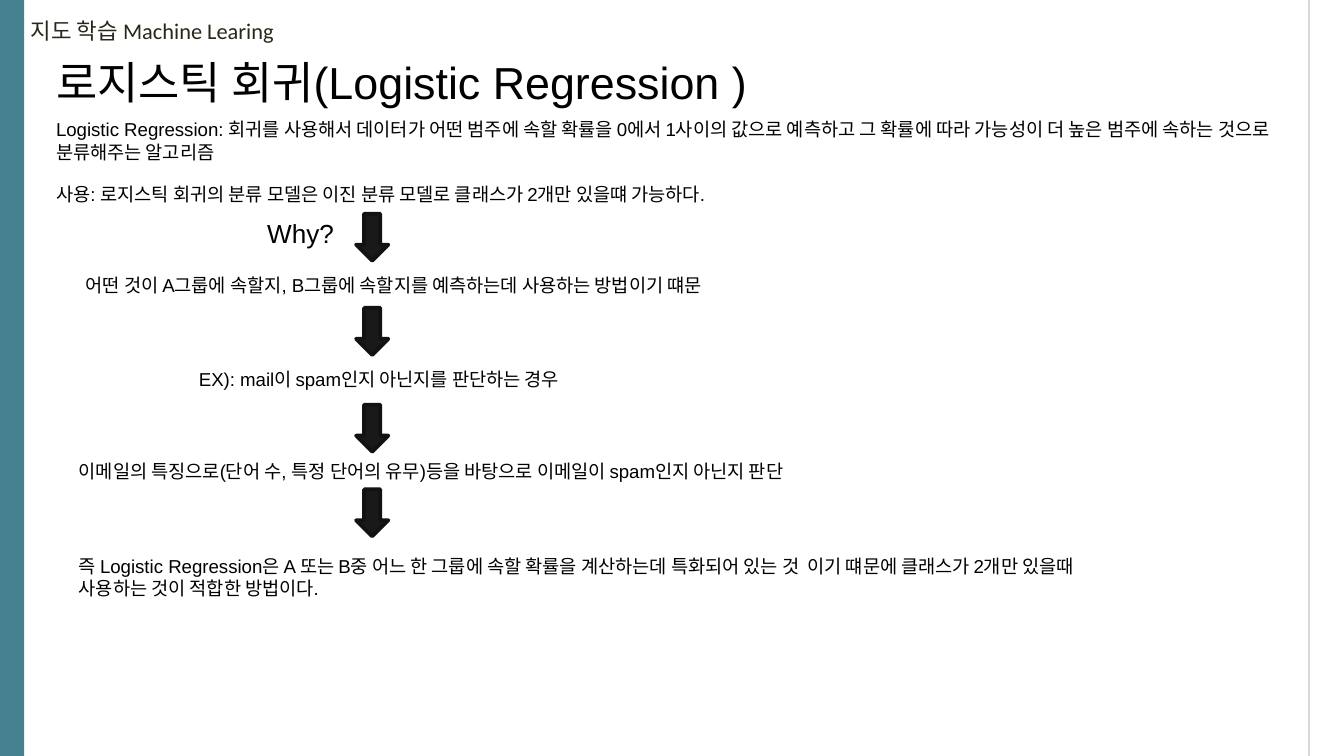
from pptx import Presentation
from pptx.dml.color import RGBColor
from pptx.enum.shapes import MSO_CONNECTOR as Connector, MSO_SHAPE as Shape
from pptx.enum.text import MSO_ANCHOR as Anchor, MSO_AUTO_SIZE as AutoSize, PP_ALIGN as Align
from pptx.oxml.ns import qn
from pptx.util import Cm, Pt
from lxml.etree import SubElement

TEAL = RGBColor(0x45, 0x81, 0x8E)
GREY = RGBColor(0xD9, 0xD9, 0xD9)
OLIVE = RGBColor(0x29, 0x26, 0x1B)
BLACK = RGBColor(0, 0, 0)
CHARCOAL = RGBColor(0x19, 0x19, 0x19)
OUTLINE = RGBColor(0x12, 0x12, 0x12)

WIDTH, HEIGHT = 25.4, 14.29
MARGIN = 0.81
ARROW_LEFT = 6.73
ARROW_TOPS = (4.04, 5.82, 7.65, 9.25)
STATEMENTS = (
    (MARGIN, 2.11, 23.44, 1.12, "Logistic Regression: 회귀를 사용해서 데이터가 어떤 범주에 속할 확률을 0에서 1사이의 값으로 예측하고 그 확률에 따라 가능성이 더 높은 범주에 속하는 것으로 분류해주는 알고리즘"),
    (MARGIN, 3.33, 20.22, 0.69, "사용: 로지스틱 회귀의 분류 모델은 이진 분류 모델로 클래스가 2개만 있을떄 가능하다."),
    (1.37, 5.05, 16.03, 0.69, "어떤 것이 A그룹에 속할지, B그룹에 속할지를 예측하는데 사용하는 방법이기 떄문"),
    (3.51, 6.83, 11.73, 0.69, "EX): mail이 spam인지 아닌지를 판단하는 경우"),
    (1.24, 8.56, 22.56, 0.69, "이메일의 특징으로(단어 수, 특정 단어의 유무)등을 바탕으로 이메일이 spam인지 아닌지 판단"),
    (1.24, 10.36, 20.12, 1.12, "즉 Logistic Regression은 A 또는 B중 어느 한 그룹에 속할 확률을 계산하는데 특화되어 있는 것  이기 떄문에 클래스가 2개만 있을때 사용하는 것이 적합한 방법이다."),
)


class SlideBuilder:
    font = "Arial"
    color = BLACK

    def __init__(self, page):
        self.page = page

    def fill_text(self, box, text, size, font=None, color=None):
        frame = box.text_frame
        frame.word_wrap = True
        frame.auto_size = AutoSize.NONE
        frame.vertical_anchor = Anchor.TOP
        frame.text = text
        para = frame.paragraphs[0]
        para.alignment = Align.LEFT
        para.font.size = Pt(size)
        para.font.name = font or self.font
        para.font.color.rgb = color or self.color
        return frame

    def title(self, left, top, width, height, text, size):
        box = self.page.shapes.title
        box.left, box.top, box.width, box.height = map(Cm, (left, top, width, height))
        self.fill_text(box, text, size)

    def text(self, left, top, width, height, text, size=10, **style):
        box = self.page.shapes.add_textbox(*map(Cm, (left, top, width, height)))
        return self.fill_text(box, text, size, **style)

    def shape(self, kind, left, top, width, height, fill):
        shape = self.page.shapes.add_shape(kind, *map(Cm, (left, top, width, height)))
        shape.shadow.inherit = False
        shape.fill.solid()
        shape.fill.fore_color.rgb = fill
        shape.line.fill.background()
        return shape

    def arrow(self, left, top):
        arrow = self.shape(Shape.DOWN_ARROW, left, top, 0.61, 0.89, CHARCOAL)
        arrow.line.color.rgb = OUTLINE
        arrow.line.width = Pt(2)

    def rule(self, left, top, bottom):
        rule = self.page.shapes.add_connector(
            Connector.STRAIGHT, Cm(left), Cm(top), Cm(left), Cm(bottom))
        rule.line.color.rgb = GREY
        rule.line.width = Pt(0.75)
        SubElement(rule._element.spPr, qn("a:effectLst"))


def main():
    deck = Presentation()
    deck.slide_width, deck.slide_height = Cm(WIDTH), Cm(HEIGHT)
    builder = SlideBuilder(deck.slides.add_slide(deck.slide_layouts[5]))

    builder.shape(Shape.RECTANGLE, 0, 0, 0.46, HEIGHT, TEAL)
    builder.rule(24.74, 0, HEIGHT)
    header = builder.text(0.33, 0.08, 13.59, 1.6, "지도 학습 Machine Learing", 12,
                          font="Calibri", color=OLIVE)
    header.margin_top = header.margin_bottom = Cm(0.25)
    builder.title(MARGIN, 0.91, 17.53, 1.27, "로지스틱 회귀(Logistic Regression )", 24)

    for left, top, width, height, text in STATEMENTS:
        builder.text(left, top, width, height, text)
    builder.text(4.8, 3.99, 2.13, 0.86, "Why?", 14)
    for top in ARROW_TOPS:
        builder.arrow(ARROW_LEFT, top)

    deck.save("out.pptx")


if __name__ == "__main__":
    main()
